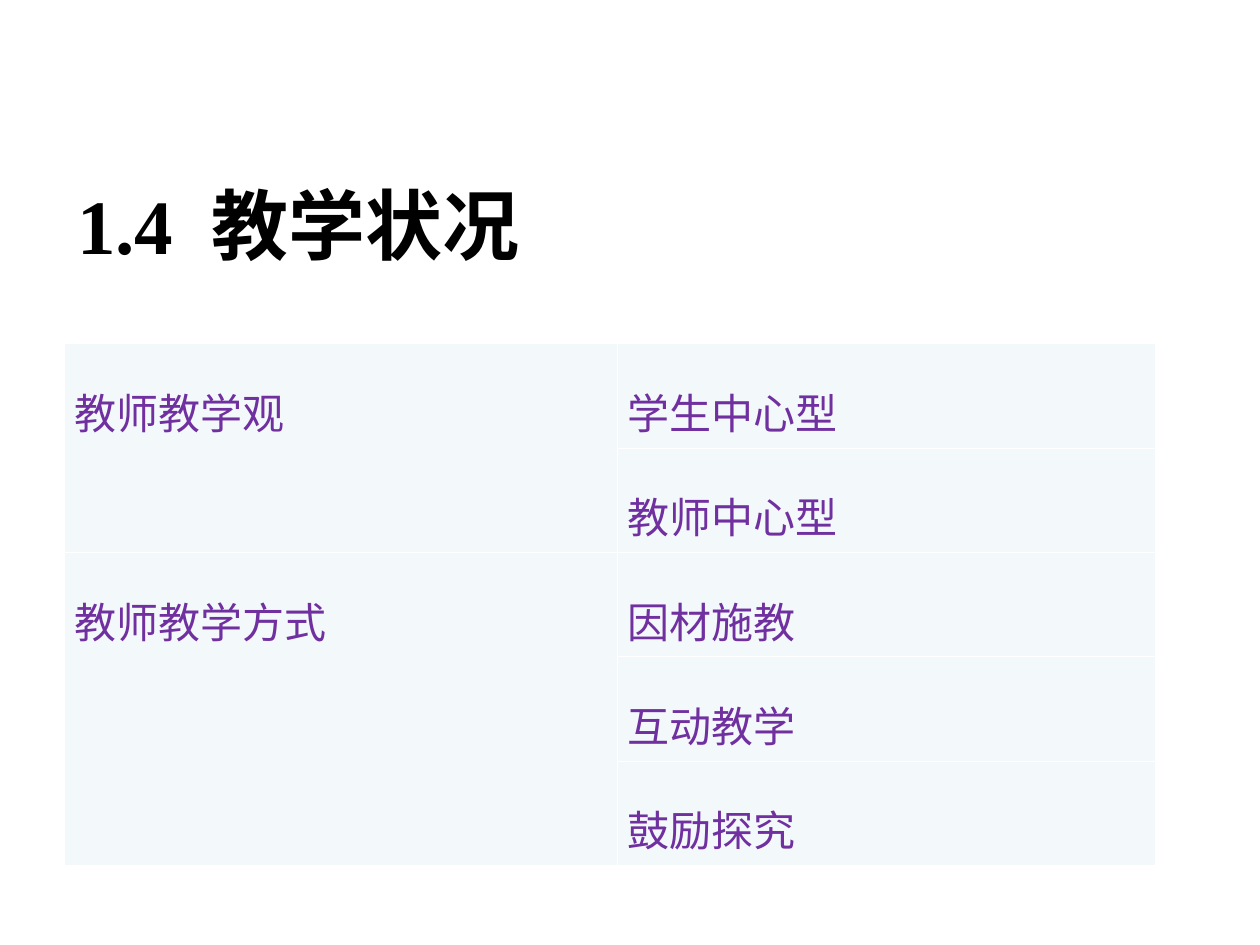
from dataclasses import dataclass

from lxml.etree import SubElement
from pptx import Presentation
from pptx.dml.color import RGBColor
from pptx.enum.text import MSO_ANCHOR, MSO_AUTO_SIZE, PP_ALIGN
from pptx.oxml.ns import qn
from pptx.util import Cm, Pt


@dataclass(frozen=True)
class Theme:
    title_color: RGBColor = RGBColor(0x00, 0x00, 0x00)
    text_color: RGBColor = RGBColor(0x70, 0x30, 0xA0)
    cell_fill: RGBColor = RGBColor(0xF3, 0xF9, 0xFA)
    border_color: str = "FFFFFF"
    border_width: Pt = Pt(0.45)
    title_size: Pt = Pt(44)
    text_size: Pt = Pt(24)
    latin_font: str = "Times New Roman"
    chinese_font: str = "Noto Sans CJK SC"


theme = Theme()


def format_run(run, font_name, size, color, bold=False):
    run.font.name = font_name
    run.font.size = size
    run.font.bold = bold
    run.font.color.rgb = color
    east_asian = SubElement(run.font._element, qn("a:ea"))
    east_asian.set("typeface", theme.chinese_font)


def set_borders(cell):
    properties = cell._tc.get_or_add_tcPr()
    for index, side in enumerate(("a:lnL", "a:lnR", "a:lnT", "a:lnB")):
        line = properties.makeelement(qn(side), {"w": str(int(theme.border_width))})
        fill = SubElement(line, qn("a:solidFill"))
        SubElement(fill, qn("a:srgbClr")).set("val", theme.border_color)
        properties.insert(index, line)


presentation = Presentation()
presentation.slide_width = Cm(25.4)
presentation.slide_height = Cm(19.05)
slide = presentation.slides.add_slide(presentation.slide_layouts[5])

# Title, with a widened space after the section number
title = slide.shapes.title
title.left, title.top, title.width, title.height = Cm(1.3), Cm(2.92), Cm(22.86), Cm(3.18)
title.text_frame.auto_size = MSO_AUTO_SIZE.NONE
title.text_frame.vertical_anchor = MSO_ANCHOR.MIDDLE
paragraph = title.text_frame.paragraphs[0]
paragraph.alignment = PP_ALIGN.LEFT
for text in ("1.4", " ", "教学状况"):
    run = paragraph.add_run()
    run.text = text
    format_run(run, theme.latin_font, theme.title_size, theme.title_color, bold=True)
paragraph.runs[1].font._element.set("spc", "1100")

# Table: each group spans the rows of its items
groups = {
    "教师教学观": ["学生中心型", "教师中心型"],
    "教师教学方式": ["因材施教", "互动教学", "鼓励探究"],
}
row_count = sum(len(items) for items in groups.values())
row_height = Cm(1.88)
column_widths = (Cm(11.15), Cm(10.85))
table = slide.shapes.add_table(
    row_count, 2, Cm(1.3), Cm(6.93), sum(column_widths), row_height * row_count
).table
table.first_row = False
table.horz_banding = False
for column, width in zip(table.columns, column_widths):
    column.width = width

first_row = 0
for group, items in groups.items():
    table.cell(first_row, 0).text_frame.text = group
    for offset, item in enumerate(items):
        table.cell(first_row + offset, 1).text_frame.text = item
    table.cell(first_row, 0).merge(table.cell(first_row + len(items) - 1, 0))
    first_row += len(items)

# Cell formatting
for cell in table.iter_cells():
    cell.fill.solid()
    cell.fill.fore_color.rgb = theme.cell_fill
    cell.margin_left = cell.margin_right = Cm(0.2)
    cell.margin_top = cell.margin_bottom = Cm(0.13)
    set_borders(cell)
    paragraph = cell.text_frame.paragraphs[0]
    if not cell.is_spanned:
        paragraph.line_spacing = 1.5
    for run in paragraph.runs:
        format_run(run, theme.chinese_font, theme.text_size, theme.text_color)

presentation.save("out.pptx")
